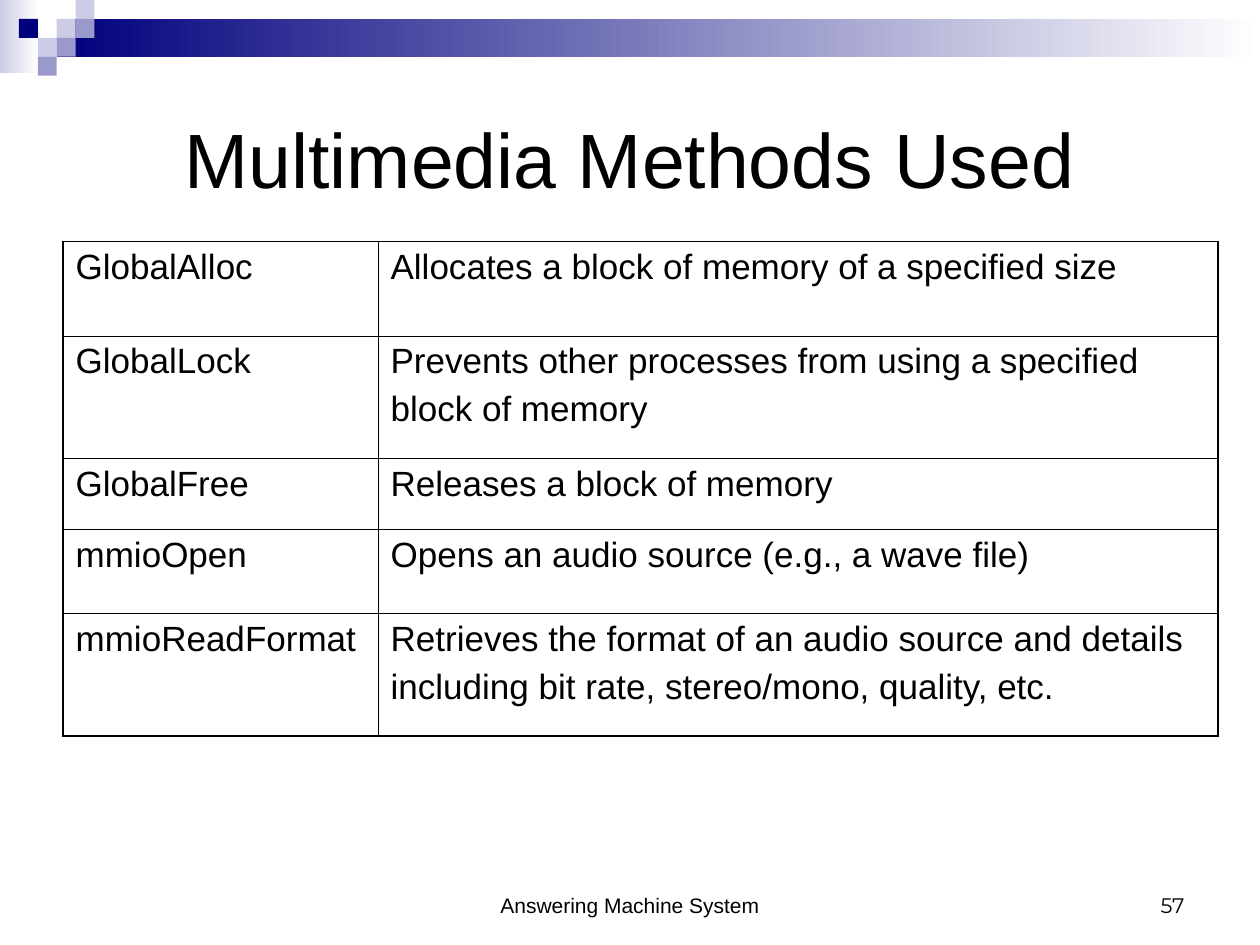
import pptx
import pptx.dml.color
import pptx.enum.shapes
import pptx.enum.text
import pptx.oxml
import pptx.oxml.ns
import pptx.util

Pt = pptx.util.Pt
RGBColor = pptx.dml.color.RGBColor
PP_ALIGN = pptx.enum.text.PP_ALIGN
MSO_ANCHOR = pptx.enum.text.MSO_ANCHOR

BLACK = RGBColor(0x00, 0x00, 0x00)
WHITE = RGBColor(0xFF, 0xFF, 0xFF)
NAVY = RGBColor(0x00, 0x00, 0x7D)
LAVENDER = RGBColor(0xCC, 0xCC, 0xE6)
PERIWINKLE = RGBColor(0x99, 0x99, 0xCC)

SQUARE = 10.8
# Column, row and colour of each corner square, in units of SQUARE
CORNER_SQUARES = [
    (3, 1, LAVENDER), (4, 0, LAVENDER), (4, 1, PERIWINKLE), (2, 2, LAVENDER),
    (1, 1, NAVY), (3, 2, PERIWINKLE), (2, 3, PERIWINKLE),
]

# Method, lines of its description, row height
METHODS = [
    ("GlobalAlloc", ["Allocates a block of memory of a specified size"], 54),
    ("GlobalLock", ["Prevents other processes from using a specified",
                    "block of memory"], 69.8),
    ("GlobalFree", ["Releases a block of memory"], 41),
    ("mmioOpen", ["Opens an audio source (e.g., a wave file)"], 48),
    ("mmioReadFormat", ["Retrieves the format of an audio source and details",
                        "including bit rate, stereo/mono, quality, etc."], 69.8),
]


class SlideBuilder:
    font = "Arial"
    outer_border = 1.08
    inner_border = 0.45

    def __init__(self, slide):
        self.slide = slide

    def set_text(self, frame, lines, size, align=PP_ALIGN.LEFT, font=None, gap=0):
        frame.word_wrap = True
        for index, line in enumerate(lines):
            paragraph = frame.add_paragraph() if index else frame.paragraphs[0]
            paragraph.text = line
            paragraph.alignment = align
            if index:
                paragraph.space_before = Pt(gap)
            paragraph.font.size = Pt(size)
            paragraph.font.name = font or self.font
            paragraph.font.color.rgb = BLACK

    def rectangle(self, left, top, width, height, color, fade=False):
        shape = self.slide.shapes.add_shape(
            pptx.enum.shapes.MSO_SHAPE.RECTANGLE,
            Pt(left), Pt(top), Pt(width), Pt(height))
        shape.shadow.inherit = False
        shape.line.fill.background()
        if fade:
            shape.fill.gradient()
            shape.fill.gradient_angle = 180
            for stop, stop_color in zip(shape.fill.gradient_stops, (WHITE, color)):
                stop.color.rgb = stop_color
        else:
            shape.fill.solid()
            shape.fill.fore_color.rgb = color

    def title(self, text, left, top, width, height):
        heading = self.slide.shapes.title
        heading.left, heading.top = Pt(left), Pt(top)
        heading.width, heading.height = Pt(width), Pt(height)
        heading.text_frame.vertical_anchor = MSO_ANCHOR.MIDDLE
        self.set_text(heading.text_frame, [text], 44, PP_ALIGN.CENTER)

    def footer(self, text, left, width, align, font=None):
        box = self.slide.shapes.add_textbox(Pt(left), Pt(492), Pt(width), Pt(36))
        box.text_frame.vertical_anchor = MSO_ANCHOR.BOTTOM
        self.set_text(box.text_frame, [text], 12, align, font)

    def border(self, cell, side, width):
        line = pptx.oxml.parse_xml(
            f'<a:ln{side} {pptx.oxml.ns.nsdecls("a")} w="{int(Pt(width))}">'
            f'<a:solidFill><a:srgbClr val="{BLACK}"/></a:solidFill></a:ln{side}>')
        cell._tc.get_or_add_tcPr().append(line)

    def table(self, rows, left, top, column_widths):
        last_row, last_column = len(rows) - 1, len(column_widths) - 1
        heights = [height for _, _, height in rows]
        grid = self.slide.shapes.add_table(
            len(rows), len(column_widths), Pt(left), Pt(top),
            Pt(sum(column_widths)), Pt(sum(heights))).table
        grid.first_row = grid.horz_banding = False
        for column, width in zip(grid.columns, column_widths):
            column.width = Pt(width)
        for r, (method, description, height) in enumerate(rows):
            grid.rows[r].height = Pt(height)
            for c, lines in enumerate(([method], description)):
                cell = grid.cell(r, c)
                self.set_text(cell.text_frame, lines, 20, gap=5)
                outer_sides = {"L": c == 0, "R": c == last_column,
                               "T": r == 0, "B": r == last_row}
                for side, outer in outer_sides.items():
                    self.border(cell, side,
                                self.outer_border if outer else self.inner_border)
                cell.fill.background()


def main():
    deck = pptx.Presentation()
    deck.slide_width, deck.slide_height = Pt(720), Pt(540)
    builder = SlideBuilder(deck.slides.add_slide(deck.slide_layouts[5]))

    # Header band and corner squares
    builder.rectangle(0, 0, 22, 42, LAVENDER, fade=True)
    builder.rectangle(3 * SQUARE, SQUARE, 720 - 3 * SQUARE, 2 * SQUARE, NAVY, fade=True)
    for column, row, color in CORNER_SQUARES:
        builder.rectangle(column * SQUARE, row * SQUARE, SQUARE, SQUARE, color)

    # Title and methods
    builder.title("Multimedia Methods Used", 36, 36, 648, 108)
    builder.table(METHODS, 36, 138, [180, 480])

    # Footer and page number
    builder.footer("Answering Machine System", 246, 228, PP_ALIGN.CENTER)
    builder.footer("57", 516, 168, PP_ALIGN.RIGHT, "Montserrat")

    deck.save("out.pptx")


if __name__ == "__main__":
    main()
